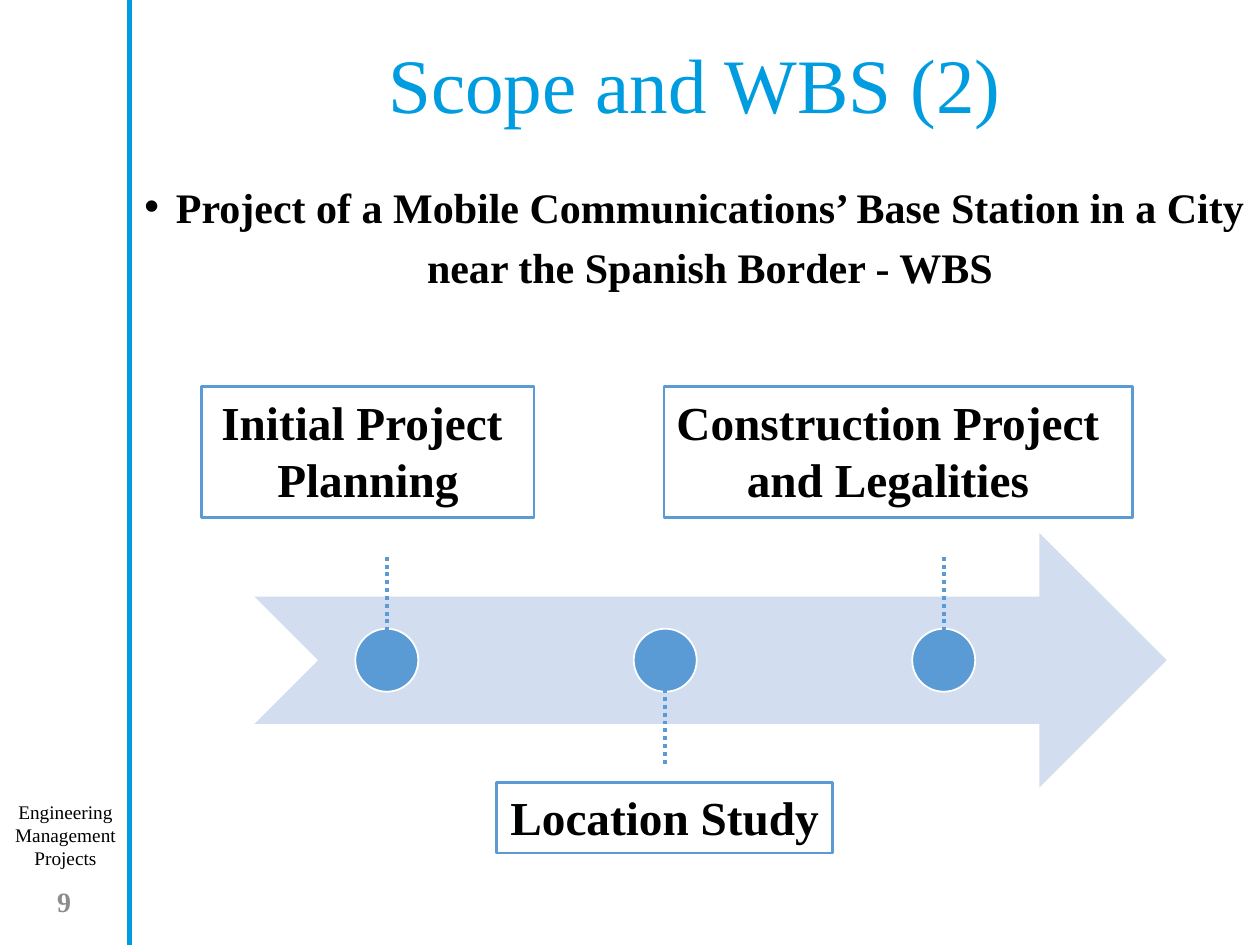
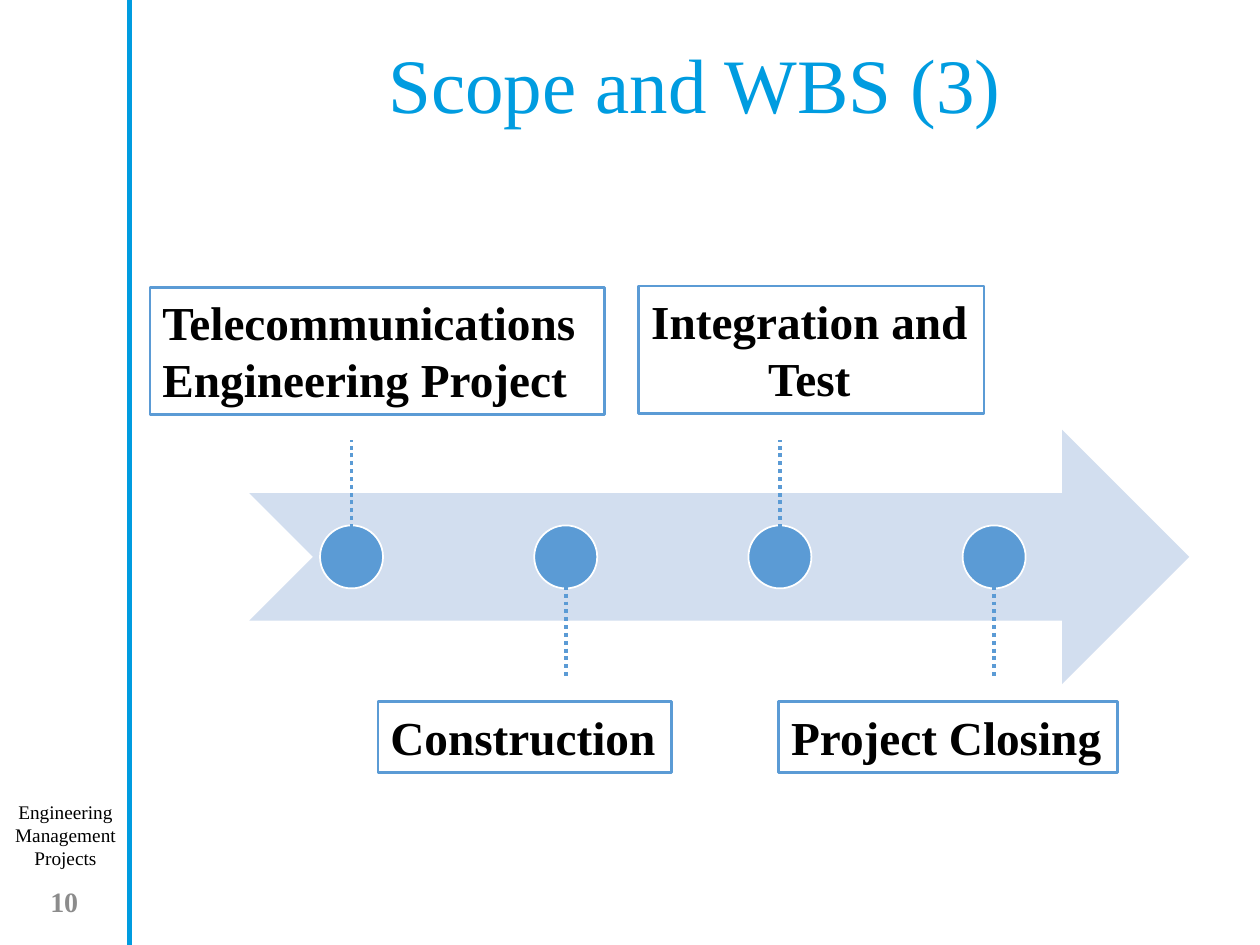
from dataclasses import dataclass
from typing import Sequence

from lxml import etree
from pptx import Presentation
from pptx.dml.color import RGBColor
from pptx.enum import dml, shapes, text
from pptx.oxml import ns
from pptx.util import Inches, Pt

FONT = "Times New Roman"
ACCENT, STEP, BAND = "009CE0", "5B9BD5", "D2DEEF"
BLACK, GREY, WHITE = "000000", "8C8C8C", "FFFFFF"
LEFT, CENTER = text.PP_ALIGN.LEFT, text.PP_ALIGN.CENTER
DOT_SIZE = 0.5
BAND_HEIGHT = 2.02
STEM_START = 0.23


@dataclass
class Line:
    """One line of a label and its alignment."""
    words: str
    align: text.PP_ALIGN = CENTER


@dataclass
class Label:
    """Framed milestone name."""
    left: float
    top: float
    width: float
    height: float
    lines: Sequence[Line]


@dataclass
class Timeline:
    """Arrow with evenly spaced milestones, alternating above and below."""
    left: float
    width: float
    axis: float
    first_dot: float
    pitch: float
    stem_up: float
    stem_down: float
    labels: Sequence[Label]


def color(value: str) -> RGBColor:
    """Turn a hex string into a colour."""
    return RGBColor.from_string(value)


def box(left: float, top: float, width: float, height: float) -> tuple:
    """Give a position and size as lengths."""
    return tuple(Inches(n) for n in (left, top, width, height))


def style(paragraph, size: float, hue: str, bold: bool = False, align=CENTER) -> None:
    """Format a paragraph and its runs."""
    paragraph.alignment = align
    for run in paragraph.runs:
        run.font.name = FONT
        run.font.size = Pt(size)
        run.font.bold = bold
        run.font.color.rgb = color(hue)


def add_text(slide, words: str, place: tuple, size: float, hue: str,
             bold: bool = False, anchor=text.MSO_ANCHOR.TOP):
    """Add a wrapped, centred text box and return its paragraph."""
    frame = slide.shapes.add_textbox(*box(*place)).text_frame
    frame.word_wrap = True
    frame.vertical_anchor = anchor
    frame.text = words
    style(frame.paragraphs[0], size, hue, bold)
    return frame.paragraphs[0]


def add_line(slide, x: float, start: float, end: float, hue: str,
             width: float, dash=None) -> None:
    """Draw a vertical line without shadow."""
    line = slide.shapes.add_connector(shapes.MSO_CONNECTOR.STRAIGHT, Inches(x),
                                      Inches(start), Inches(x), Inches(end))
    line.line.color.rgb = color(hue)
    line.line.width = Pt(width)
    if dash is not None:
        line.line.dash_style = dash
    etree.SubElement(line._element.spPr, ns.qn("a:effectLst"))


def add_shape(slide, kind, place: tuple, fill: str = "", outline: str = "",
              width: float = 1):
    """Draw a preset shape; an empty colour means none."""
    shape = slide.shapes.add_shape(kind, *box(*place))
    shape.shadow.inherit = False
    if fill:
        shape.fill.solid()
        shape.fill.fore_color.rgb = color(fill)
    else:
        shape.fill.background()
    if outline:
        shape.line.color.rgb = color(outline)
        shape.line.width = Pt(width)
    else:
        shape.line.fill.background()
    return shape


def add_label(slide, label: Label) -> None:
    """Draw a framed milestone name."""
    place = (label.left, label.top, label.width, label.height)
    frame = add_shape(slide, shapes.MSO_SHAPE.RECTANGLE, place,
                      outline=STEP, width=1.5).text_frame
    frame.word_wrap = False
    frame.auto_size = text.MSO_AUTO_SIZE.SHAPE_TO_FIT_TEXT
    frame.vertical_anchor = text.MSO_ANCHOR.TOP
    frame.text = "\n".join(line.words for line in label.lines)
    for paragraph, line in zip(frame.paragraphs, label.lines):
        style(paragraph, 27, BLACK, True, line.align)


def add_timeline(slide, plan: Timeline) -> None:
    """Draw the arrow, its dots, dotted stems and labels."""
    add_shape(slide, shapes.MSO_SHAPE.NOTCHED_RIGHT_ARROW,
              (plan.left, plan.axis - BAND_HEIGHT / 2, plan.width, BAND_HEIGHT), BAND)
    for index, label in enumerate(plan.labels):
        x = plan.first_dot + index * plan.pitch
        add_shape(slide, shapes.MSO_SHAPE.OVAL,
                  (x - DOT_SIZE / 2, plan.axis - DOT_SIZE / 2, DOT_SIZE, DOT_SIZE),
                  STEP, WHITE)
        above = index % 2 == 0
        start = plan.axis - STEM_START if above else plan.axis + STEM_START
        end = plan.stem_up if above else plan.stem_down
        add_line(slide, x, start, end, STEP, 2.25, dml.MSO_LINE.ROUND_DOT)
        add_label(slide, label)


def add_base(deck, title: str, number: int):
    """Add a slide with the side rail, course name, number and title."""
    slide = deck.slides.add_slide(deck.slide_layouts[6])
    middle = text.MSO_ANCHOR.MIDDLE
    add_line(slide, 1.03, 0, 7.5, ACCENT, 2.75)
    add_text(slide, "Engineering Management Projects", (0, 6.3, 1.04, 0.66), 11, BLACK)
    add_text(slide, str(number), (-0.01, 6.95, 1.04, 0.4), 16, GREY, True, middle)
    heading = add_text(slide, title, (1.37, 0.24, 8.29, 0.93), 44, ACCENT, anchor=middle)
    heading.line_spacing = 0.9
    return slide


def add_bullet(slide, words: str) -> None:
    """Add the bulleted introduction."""
    paragraph = add_text(slide, words, (0.9, 1.31, 9.22, 0.88), 24, BLACK, True)
    paragraph.line_spacing = 1.2
    paragraph.space_before = Pt(10)
    props = paragraph._p.get_or_add_pPr()
    props.set("marL", str(Inches(0.25)))
    props.set("indent", str(Inches(-0.25)))
    etree.SubElement(props, ns.qn("a:buFont"), typeface="Arial")
    etree.SubElement(props, ns.qn("a:buChar"), char="•")


PLANNING = Timeline(2.02, 7.24, 5.24, 3.07, 2.21, 4.41, 6.06, [
    Label(1.6, 3.07, 2.64, 1.04, [Line("Initial Project "), Line("Planning")]),
    Label(3.94, 6.21, 2.67, 0.56, [Line("Location Study")]),
    Label(5.27, 3.07, 3.72, 1.04,
          [Line("Construction Project", LEFT), Line("and Legalities")]),
])
DELIVERY = Timeline(1.98, 7.46, 4.42, 2.79, 1.7, 3.49, 5.38, [
    Label(1.19, 2.28, 3.61, 1.01,
          [Line("Telecommunications ", LEFT), Line("Engineering Project", LEFT)]),
    Label(3, 5.57, 2.33, 0.56, [Line("Construction", LEFT)]),
    Label(5.07, 2.27, 2.74, 1.01, [Line("Integration and", LEFT), Line("Test")]),
    Label(6.18, 5.57, 2.69, 0.56, [Line("Project Closing", LEFT)]),
])


def main() -> None:
    """Build and save both slides."""
    deck = Presentation()
    deck.slide_width, deck.slide_height = Inches(10), Inches(7.5)
    planning = add_base(deck, "Scope and WBS (2)", 9)
    add_timeline(planning, PLANNING)
    add_bullet(planning, "Project of a Mobile Communications’ Base Station "
                         "in a City near the Spanish Border - WBS")
    delivery = add_base(deck, "Scope and WBS (3)", 10)
    add_timeline(delivery, DELIVERY)
    deck.save("out.pptx")


main()
